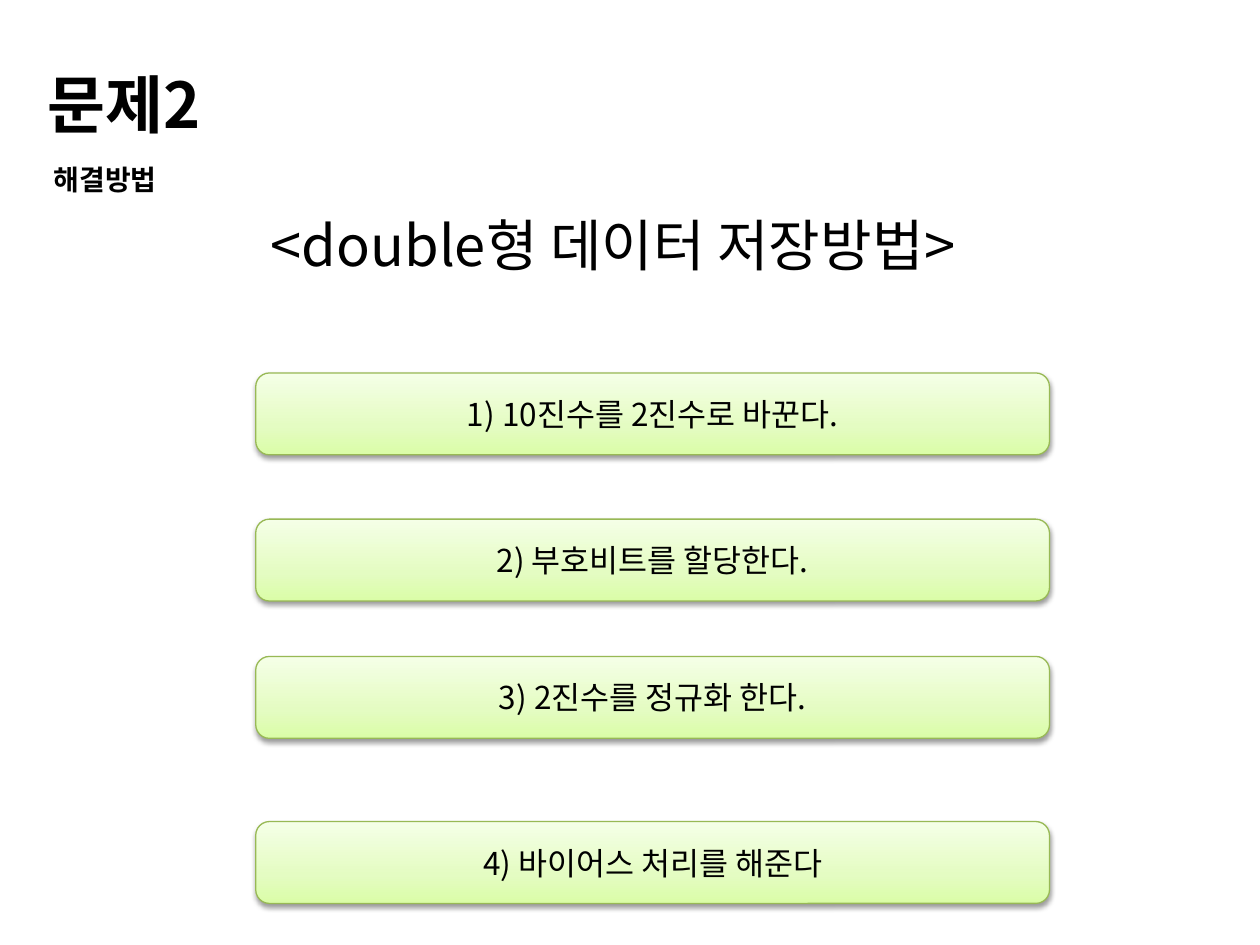
from lxml import etree
from pptx import Presentation
from pptx.dml.color import RGBColor
from pptx.enum.shapes import MSO_SHAPE
from pptx.enum.text import MSO_ANCHOR, MSO_AUTO_SIZE, PP_ALIGN
from pptx.oxml.ns import qn
from pptx.util import Inches, Pt

STEPS = [
    (2.96, "1) 10진수를 2진수로 바꾼다."),
    (4.12, "2) 부호비트를 할당한다."),
    (5.21, "3) 2진수를 정규화 한다."),
    (6.52, "4) 바이어스 처리를 해준다"),
]


def color(hex_value):
    return RGBColor.from_string(hex_value)


def add_element(parent, tag, **attributes):
    values = {name: str(value) for name, value in attributes.items()}
    return etree.SubElement(parent, qn(tag), values)


class SlideBuilder:
    font_name = "Noto Sans CJK KR"
    text_color = "000000"
    line_color = "98B955"
    gradient = [(0, "DAFDA7"), (35, "E4FCC2"), (100, "F5FFE7")]

    def __init__(self, slide):
        self.slide = slide

    def add_span(self, para, text, size, bold=False):
        span = para.add_run()
        span.text = text
        span.font.size = Pt(size)
        span.font.bold = bold
        span.font.color.rgb = color(self.text_color)
        span.font.name = self.font_name
        add_element(span.font._element, "a:ea", typeface=self.font_name)

    def add_text(self, left, top, width, height, text, size,
                 bold=False, line_spacing=None, wrap=True):
        box = self.slide.shapes.add_textbox(
            Inches(left), Inches(top), Inches(width), Inches(height))
        frame = box.text_frame
        frame.word_wrap = wrap
        frame.auto_size = MSO_AUTO_SIZE.SHAPE_TO_FIT_TEXT
        para = frame.paragraphs[0]
        para.line_spacing = line_spacing
        self.add_span(para, text, size, bold)

    def add_step(self, top, text):
        box = self.slide.shapes.add_shape(
            MSO_SHAPE.ROUNDED_RECTANGLE,
            Inches(2.03), Inches(top), Inches(6.3), Inches(0.65))
        self.apply_gradient(box)
        box.line.color.rgb = color(self.line_color)
        box.line.width = Pt(0.75)
        self.apply_shadow(box)
        frame = box.text_frame
        frame.word_wrap = True
        frame.vertical_anchor = MSO_ANCHOR.MIDDLE
        para = frame.paragraphs[0]
        para.alignment = PP_ALIGN.CENTER
        self.add_span(para, text, 18)

    def apply_gradient(self, box):
        box.fill.gradient()
        box.fill.gradient_angle = 90
        stops = box._element.spPr.find(qn("a:gradFill")).find(qn("a:gsLst"))
        for stop in list(stops):
            stops.remove(stop)
        for position, hex_value in self.gradient:
            stop = add_element(stops, "a:gs", pos=position * 1000)
            add_element(stop, "a:srgbClr", val=hex_value)

    def apply_shadow(self, box):
        box.shadow.inherit = False
        effects = box._element.spPr.find(qn("a:effectLst"))
        shadow = add_element(effects, "a:outerShdw", blurRad=Pt(3.1), dist=Pt(1.6),
                             dir=90 * 60000, rotWithShape=0)
        shade = add_element(shadow, "a:srgbClr", val="000000")
        add_element(shade, "a:alpha", val=38000)


def main():
    deck = Presentation()
    deck.slide_width, deck.slide_height = Inches(10), Inches(7.5)
    page = SlideBuilder(deck.slides.add_slide(deck.slide_layouts[6]))
    page.add_text(0.28, 0.17, 9.53, 0.89, "문제2", 36, bold=True, line_spacing=1.5)
    page.add_text(0.33, 1.11, 1.17, 0.45, "해결방법", 16, bold=True, line_spacing=1.5)
    for top, text in STEPS:
        page.add_step(top, text)
    page.add_text(2.05, 1.62, 6.15, 0.64, "<double형 데이터 저장방법>", 32, wrap=False)
    deck.save("out.pptx")


if __name__ == "__main__":
    main()
